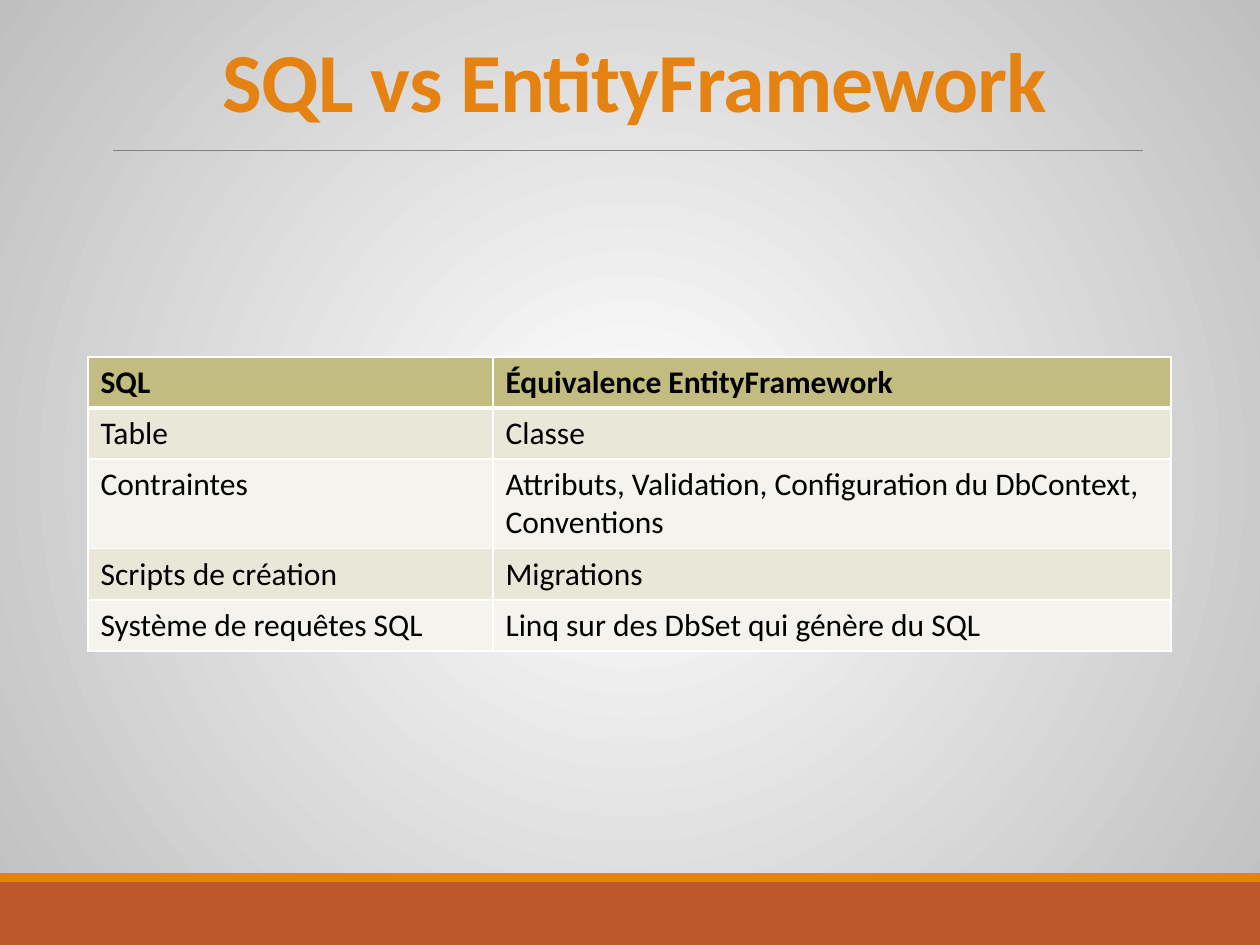
import pptx
import pptx.dml.color
import pptx.enum.shapes
import pptx.enum.text
import pptx.oxml
import pptx.oxml.ns
import pptx.util

RGB = pptx.dml.color.RGBColor
ORANGE = RGB(0xE4, 0x83, 0x12)
RUST = RGB(0xBD, 0x58, 0x2C)
GRAY = RGB(0x80, 0x80, 0x80)
SILVER = RGB(0xBF, 0xBF, 0xBF)
WHITE = RGB(0xFF, 0xFF, 0xFF)
BLACK = RGB(0, 0, 0)
OLIVE = RGB(0xC2, 0xBC, 0x80)
BANDS = RGB(0xF4, 0xF3, 0xED), RGB(0xE9, 0xE7, 0xD8)

WIDTH, HEIGHT = 1260, 945
SCALE = 914400 / 126

ROWS = [
    ("SQL", "Équivalence EntityFramework"),
    ("Table", "Classe"),
    ("Contraintes", "Attributs, Validation, Configuration du DbContext, Conventions"),
    ("Scripts de création", "Migrations"),
    ("Système de requêtes SQL", "Linq sur des DbSet qui génère du SQL"),
]


def px(*sizes):
    return [pptx.util.Emu(round(size * SCALE)) for size in sizes]


def node(tag, inner="", **attrs):
    """Make a DrawingML element from its tag, inner XML and attributes."""
    text = "".join(f' {key}="{val}"' for key, val in attrs.items())
    space = pptx.oxml.ns.nsdecls("a")
    return pptx.oxml.parse_xml(f"<a:{tag} {space}{text}>{inner}</a:{tag}>")


class Deck:
    """Holds the text style and the current slide."""

    def __init__(self, face):
        self.face = face
        self.show = pptx.Presentation()
        self.show.slide_width, self.show.slide_height = px(WIDTH, HEIGHT)
        self.slide = self.show.slides.add_slide(self.show.slide_layouts[0])
        sub = self.slide.placeholders[1].element
        sub.getparent().remove(sub)

    def style(self, font, color, **form):
        font.color.rgb = color
        for key, val in {"name": self.face, **form}.items():
            setattr(font, key, val)

    def glow(self, inner, outer):
        """Fill the background with a gradient from the centre outwards."""
        fill = self.slide.background.fill
        fill.gradient()
        for stop, color in zip(fill.gradient_stops, (inner, outer)):
            stop.color.rgb = color
        line = self.slide.element.find(".//" + pptx.oxml.ns.qn("a:lin"))
        rect = '<a:fillToRect l="50000" t="50000" r="50000" b="50000"/>'
        line.getparent().replace(line, node("path", rect, path="circle"))

    def bar(self, box, color):
        kind = pptx.enum.shapes.MSO_SHAPE.RECTANGLE
        shape = self.slide.shapes.add_shape(kind, *px(*box))
        shape.shadow.inherit = False
        shape.fill.solid()
        shape.fill.fore_color.rgb = color
        shape.line.fill.background()

    def rule(self, left, right, top, color):
        kind = pptx.enum.shapes.MSO_CONNECTOR.STRAIGHT
        line = self.slide.shapes.add_connector(kind, *px(left, top, right, top))
        line.line.color.rgb = color
        line.line.width = pptx.util.Pt(0.5)
        line.element.spPr.append(node("effectLst"))

    def title(self, text, box, color):
        shape = self.slide.shapes.title
        shape.left, shape.top, shape.width, shape.height = px(*box)
        frame = shape.text_frame
        frame.text = text
        form = {
            "word_wrap": True,
            "auto_size": pptx.enum.text.MSO_AUTO_SIZE.NONE,
            "vertical_anchor": pptx.enum.text.MSO_ANCHOR.BOTTOM,
        }
        for key, val in form.items():
            setattr(frame, key, val)
        para = frame.paragraphs[0]
        para.alignment = pptx.enum.text.PP_ALIGN.CENTER
        para.line_spacing = 0.85
        font = para.runs[0].font
        self.style(font, color, size=pptx.util.Pt(48), bold=True)
        para.runs[0].font._element.set("spc", "-50")

    def edge(self, cell, head):
        """Draw white cell borders, thick between header and body."""
        for spot, side in enumerate("LRTB"):
            thick = head and side == "B"
            fill = f'<a:solidFill><a:srgbClr val="{WHITE}"/></a:solidFill>'
            line = node("ln" + side, fill, w=pptx.util.Pt(3 if thick else 1))
            cell._tc.get_or_add_tcPr().insert(spot, line)

    def table(self, rows, left, top, widths, heights):
        box = px(left, top, sum(widths), sum(heights))
        shape = self.slide.shapes.add_table(len(rows), len(widths), *box)
        grid = shape.table
        for col, width in zip(grid.columns, px(*widths)):
            col.width = width
        for row, height in zip(grid.rows, px(*heights)):
            row.height = height
        for i, texts in enumerate(rows):
            for j, text in enumerate(texts):
                cell = grid.cell(i, j)
                cell.text = text
                cell.fill.solid()
                cell.fill.fore_color.rgb = BANDS[i % 2] if i else OLIVE
                font = cell.text_frame.paragraphs[0].runs[0].font
                self.style(font, BLACK, size=pptx.util.Pt(18), bold=i == 0)
                self.edge(cell, i == 0)


def main():
    deck = Deck("Calibri")
    deck.glow(WHITE, SILVER)
    deck.bar((0, 882, WIDTH, 63), RUST)
    deck.bar((0, 873, WIDTH, 9), ORANGE)
    deck.rule(113, 1143, 150, GRAY)
    deck.title("SQL vs EntityFramework", (10, 32, 1250, 104), ORANGE)
    deck.table(ROWS, 88, 357, (405, 678), (51, 51, 89, 51, 51))
    deck.show.save("out.pptx")


if __name__ == "__main__":
    main()
